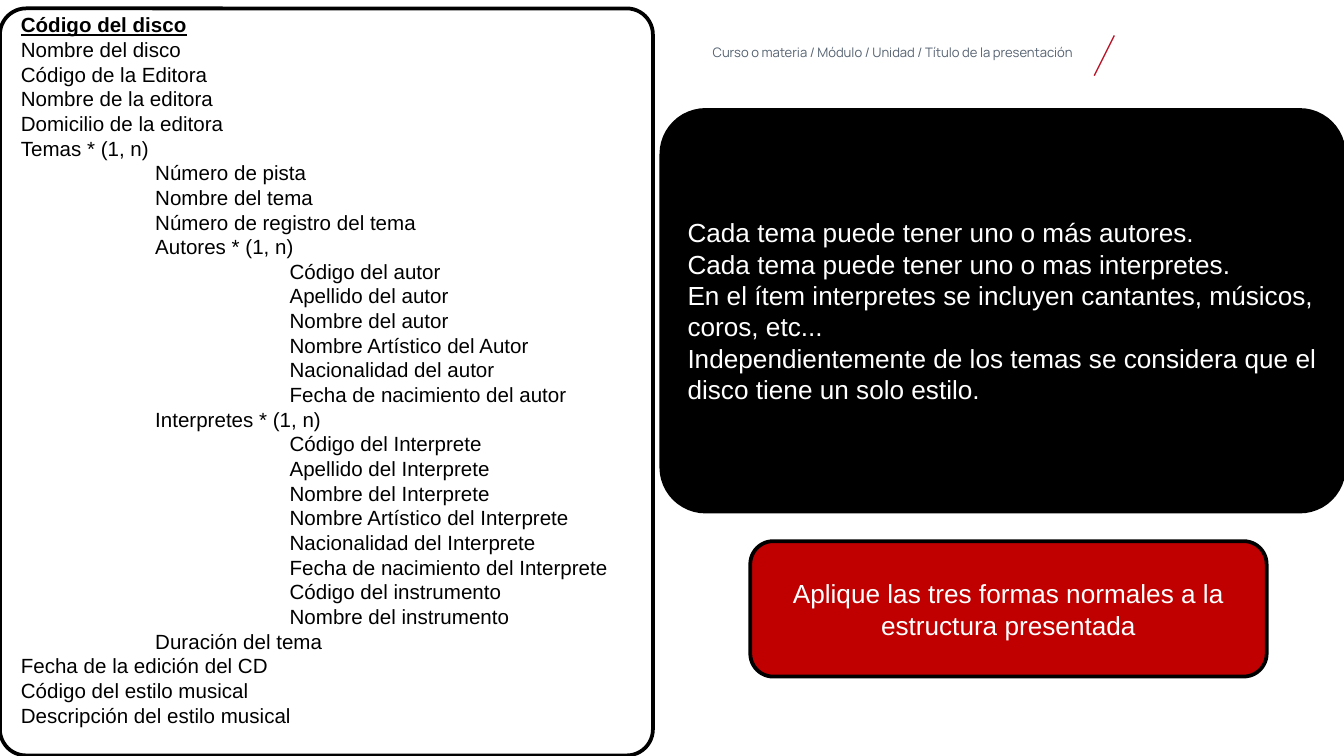
import pptx
import pptx.dml.color
import pptx.enum.shapes
import pptx.enum.text
import pptx.oxml
import pptx.util

Cm = pptx.util.Cm
Pt = pptx.util.Pt
ALIGN = pptx.enum.text.PP_ALIGN
ANCHOR = pptx.enum.text.MSO_ANCHOR
DRAWING_NS = 'xmlns:a="http://schemas.openxmlformats.org/drawingml/2006/main"'

# Each field of the record with its nesting depth
RECORD = [
    (0, "Código del disco"),
    (0, "Nombre del disco"),
    (0, "Código de la Editora"),
    (0, "Nombre de la editora"),
    (0, "Domicilio de la editora"),
    (0, "Temas * (1, n)"),
    (1, "Número de pista"),
    (1, "Nombre del tema"),
    (1, "Número de registro del tema"),
    (1, "Autores * (1, n)"),
    (2, "Código del autor"),
    (2, "Apellido del autor"),
    (2, "Nombre del autor"),
    (2, "Nombre Artístico del Autor"),
    (2, "Nacionalidad del autor"),
    (2, "Fecha de nacimiento del autor"),
    (1, "Interpretes * (1, n)"),
    (2, "Código del Interprete"),
    (2, "Apellido del Interprete"),
    (2, "Nombre del Interprete"),
    (2, "Nombre Artístico del Interprete"),
    (2, "Nacionalidad del Interprete"),
    (2, "Fecha de nacimiento del Interprete"),
    (2, "Código del instrumento"),
    (2, "Nombre del instrumento"),
    (1, "Duración del tema"),
    (0, "Fecha de la edición del CD"),
    (0, "Código del estilo musical"),
    (0, "Descripción del estilo musical"),
]
RULES = [
    "Cada tema puede tener uno o más autores.",
    "Cada tema puede tener uno o mas interpretes.",
    "En el ítem interpretes se incluyen cantantes, músicos, coros, etc...",
    "Independientemente de los temas se considera que el disco tiene un solo estilo.",
]
TASK = ["Aplique las tres formas normales a la estructura presentada"]


def rgb(value):
    return pptx.dml.color.RGBColor.from_string(value)


def write(frame, lines, colour, align, font):
    """Fill a text frame with one formatted paragraph per line."""
    frame.text = "\n".join(lines)
    for paragraph in frame.paragraphs:
        paragraph.alignment = align
        for run in paragraph.runs:
            run.font.color.rgb = rgb(colour)
            for key, value in font.items():
                setattr(run.font, key, value)


deck = pptx.Presentation()
deck.slide_width, deck.slide_height = Cm(25.4), Cm(14.29)
slide = deck.slides.add_slide(deck.slide_layouts[5])

# Breadcrumb heading
heading = slide.shapes.title
heading_place = {"left": Cm(12.57), "top": Cm(0.87), "width": Cm(7.7), "height": Cm(0.36)}
for key, value in heading_place.items():
    setattr(heading, key, value)
heading_frame = heading.text_frame
heading_format = {
    "margin_left": 0, "margin_right": 0, "margin_top": 0, "margin_bottom": 0,
    "vertical_anchor": ANCHOR.TOP, "word_wrap": True,
    "auto_size": pptx.enum.text.MSO_AUTO_SIZE.NONE,
}
for key, value in heading_format.items():
    setattr(heading_frame, key, value)
write(heading_frame, ["Curso o materia / Módulo / Unidad / Título de la presentación"],
      "556271", ALIGN.RIGHT, {"name": "Manrope", "size": Pt(7)})
heading_frame.paragraphs[0].line_spacing = 0.9

# Red slash beside the heading
slash = slide.shapes.add_connector(
    pptx.enum.shapes.MSO_CONNECTOR.STRAIGHT, Cm(21.06), Cm(0.67), Cm(20.68), Cm(1.43))
slash.line.color.rgb = rgb("BC182C")
slash.line.width = Pt(0.75)
slash_properties = slash._element.spPr
slash_properties.append(pptx.oxml.parse_xml(f"<a:effectLst {DRAWING_NS}/>"))

# Record, rules and task panels: place, corner, fill, text, colour, alignment, size
record_lines = ["\t" * depth + field for depth, field in RECORD]
panels = [
    ((0, 0.16, 12.34, 14.12), 0.04, "FFFFFF", record_lines, "000000", ALIGN.LEFT, 11),
    ((12.5, 2.08, 12.9, 7.59), 0.11, "000000", RULES, "FFFFFF", ALIGN.LEFT, 14),
    ((14.18, 10.23, 9.76, 2.56), 0.17, "C00000", TASK, "FFFFFF", ALIGN.CENTER, 14),
]
frames = []
for place, corner, fill, lines, colour, align, size in panels:
    panel = slide.shapes.add_shape(
        pptx.enum.shapes.MSO_SHAPE.ROUNDED_RECTANGLE, *map(Cm, place))
    panel.adjustments[0] = corner
    panel.shadow.inherit = False
    panel.fill.solid()
    panel.fill.fore_color.rgb = rgb(fill)
    panel.line.color.rgb = rgb("000000")
    panel.line.width = Pt(2)
    panel.text_frame.word_wrap = True
    panel.text_frame.vertical_anchor = ANCHOR.MIDDLE
    write(panel.text_frame, lines, colour, align, {"name": "Arial", "size": Pt(size)})
    frames.append(panel.text_frame)

# The record sits slightly high in its panel and its key is marked
record_frame = frames[0]
record_frame.margin_top, record_frame.margin_bottom = 0, Cm(0.46)
key_font = record_frame.paragraphs[0].runs[0].font
key_font.bold = key_font.underline = True

# Nested fields stop at one tab per depth
tab_step = Cm(2.54)
for (depth, field), paragraph in zip(RECORD, record_frame.paragraphs):
    if depth:
        stops = "".join(f'<a:tab pos="{tab_step * stop}" algn="l"/>'
                        for stop in range(1, depth + 1))
        paragraph._p.get_or_add_pPr().append(
            pptx.oxml.parse_xml(f"<a:tabLst {DRAWING_NS}>{stops}</a:tabLst>"))

deck.save("out.pptx")
